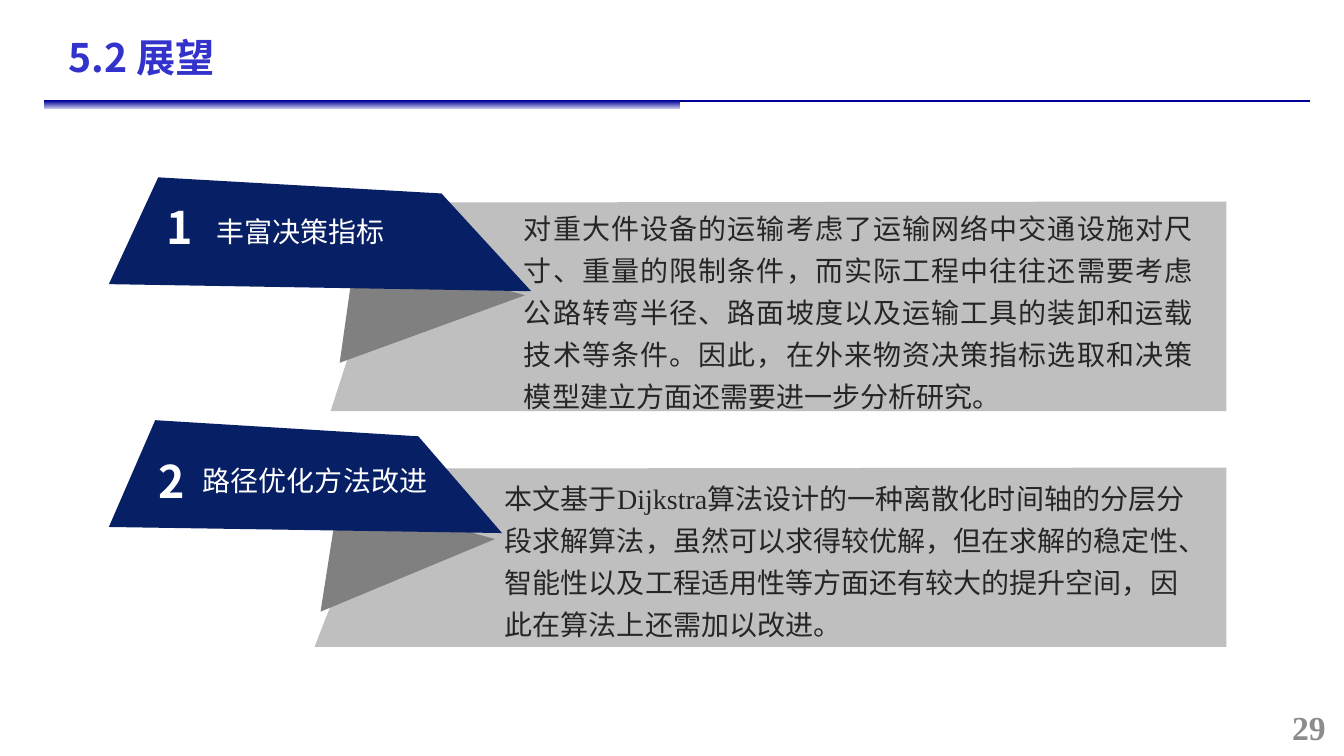
from pptx import Presentation
from pptx import util as u
from pptx.dml.color import RGBColor
from pptx.enum import shapes, text
from pptx.oxml.ns import qn
from lxml import etree

SANS, SERIF = "Noto Sans CJK SC", "Times New Roman"
NAVY, BLUE, WHITE = "071F65", "000099", "FFFFFF"
LIGHT, GREY, INK = "BFBFBF", "808080", "262626"
ALIGN = text.PP_ALIGN


def color(code):
    return RGBColor.from_string(code)


class Board:
    """Slide on a grid of 40 columns by 22.5 rows, with square cells."""

    def __init__(self, deck):
        self.slide = deck.slides.add_slide(deck.slide_layouts[6])
        self.shapes = self.slide.shapes
        self.cell = deck.slide_width / 40

    def size(self, *cells):
        return [round(c * self.cell) for c in cells]

    def rule(self, x1, y1, x2, y2, code, width):
        line = self.shapes.add_connector(
            shapes.MSO_CONNECTOR.STRAIGHT, *self.size(x1, y1, x2, y2))
        line.line.color.rgb = color(code)
        line.line.width = u.Pt(width)
        etree.SubElement(line._element.spPr, qn("a:effectLst"))

    def fade(self, box, start, end):
        """Rectangle that blends downwards from start to end."""
        bar = self.shapes.add_shape(shapes.MSO_SHAPE.RECTANGLE, *self.size(*box))
        bar.shadow.inherit = False
        bar.line.fill.background()
        bar.fill.gradient()
        bar.fill.gradient_angle = 270
        for stop, place, code in zip(bar.fill.gradient_stops, (0, 1), (start, end)):
            stop.position = place
            stop.color.rgb = color(code)

    def shape(self, points, code):
        first, *rest = [self.size(*p) for p in points]
        pen = self.shapes.build_freeform(*first)
        pen.add_line_segments(rest, close=True)
        form = pen.convert_to_shape()
        form.shadow.inherit = False
        form.fill.solid()
        form.fill.fore_color.rgb = color(code)
        form.line.fill.background()

    def text(self, box, runs, size, code, bold=False, align=ALIGN.LEFT,
             pitch=None, inset=(0.1, 0.05), wrap=True, middle=False):
        """Text box; runs holds pairs of wording and font."""
        frame = self.shapes.add_textbox(*self.size(*box)).text_frame
        frame.word_wrap = wrap
        frame.margin_left = frame.margin_right = u.Inches(inset[0])
        frame.margin_top = frame.margin_bottom = u.Inches(inset[1])
        if middle:
            frame.vertical_anchor = text.MSO_ANCHOR.MIDDLE
        para = frame.paragraphs[0]
        para.alignment = align
        if pitch:
            para.line_spacing = u.Pt(pitch)
        for words, face in runs:
            run = para.add_run()
            run.text = words
            run.font.size = u.Pt(size)
            run.font.bold = bold
            run.font.color.rgb = color(code)
            run.font.name = face
            east = etree.SubElement(run._r.rPr, qn("a:ea"))
            east.set("typeface", face)

    def card(self, item):
        self.shape(item["panel"], LIGHT)
        self.shape(item["fold"], GREY)
        self.shape(item["flag"], NAVY)
        box, words, align = item["label"]
        self.text(box, [(words, SANS)], 20, WHITE, align=align)
        box, runs, align = item["body"]
        self.text(box, runs, 20, INK, align=align, pitch=30)
        left, top, digit = item["digit"]
        self.text((left, top, 1.14, 1.83), [(digit, SANS)], 32, WHITE,
                  bold=True, inset=(0.07, 0.04), wrap=False)


CARDS = [
    {
        "panel": [(11.85, 6.03), (36.5, 6), (36.5, 12.24), (9.84, 12.24)],
        "fold": [(15.63, 8.79), (10.59, 7.41), (10.11, 10.8)],
        "flag": [(4.71, 5.28), (13.14, 5.76), (15.81, 8.67), (3.24, 8.46)],
        "label": ((6.15, 6.24, 8.52, 1.32), "丰富决策指标", ALIGN.LEFT),
        "body": ((15.3, 5.91, 20.49, 6.45), [
            ("对重大件设备的运输考虑了运输网络中交通设施对尺寸、重量的限制条件，"
             "而实际工程中往往还需要考虑公路转弯半径、路面坡度以及运输工具的装卸和"
             "运载技术等条件。因此，在外来物资决策指标选取和决策模型建立方面还需要"
             "进一步分析研究。", SANS)], ALIGN.JUSTIFY),
        "digit": (4.74, 5.82, "1"),
    },
    {
        "panel": [(11.43, 13.95), (36.5, 13.92), (36.5, 19.26), (9.36, 19.26)],
        "fold": [(14.73, 16.05), (10.08, 14.76), (9.54, 18.21)],
        "flag": [(4.62, 12.51), (12.45, 12.99), (14.94, 15.87), (3.24, 15.69)],
        "label": ((5.73, 13.65, 7.29, 1.32), "路径优化方法改进", ALIGN.CENTER),
        "body": ((14.73, 13.95, 21.06, 5.34), [
            ("本文基于", SANS),
            ("Dijkstra", SERIF),
            ("算法设计的一种离散化时间轴的分层分段求解算法，虽然可以求得较优解，"
             "但在求解的稳定性、智能性以及工程适用性等方面还有较大的提升空间，"
             "因此在算法上还需加以改进。", SANS)], ALIGN.LEFT),
        "digit": (4.5, 13.38, "2"),
    },
]


def main():
    deck = Presentation()
    deck.slide_width, deck.slide_height = u.Inches(13.33), u.Inches(7.5)
    board = Board(deck)
    board.rule(1.32, 3, 39, 3, BLUE, 1.5)
    board.fade((1.32, 3, 18.93, 0.24), BLUE, "C6C6E8")
    board.text((1.74, 0.84, 18.75, 1.71), [("5.2 展望", SANS)], 28, "3333CC", bold=True)
    for item in CARDS:
        board.card(item)
    board.text((30.75, 21.06, 9, 1.2), [("29", SERIF)], 24, "8C8C8C",
               bold=True, align=ALIGN.RIGHT, middle=True)
    deck.save("out.pptx")


if __name__ == "__main__":
    main()
